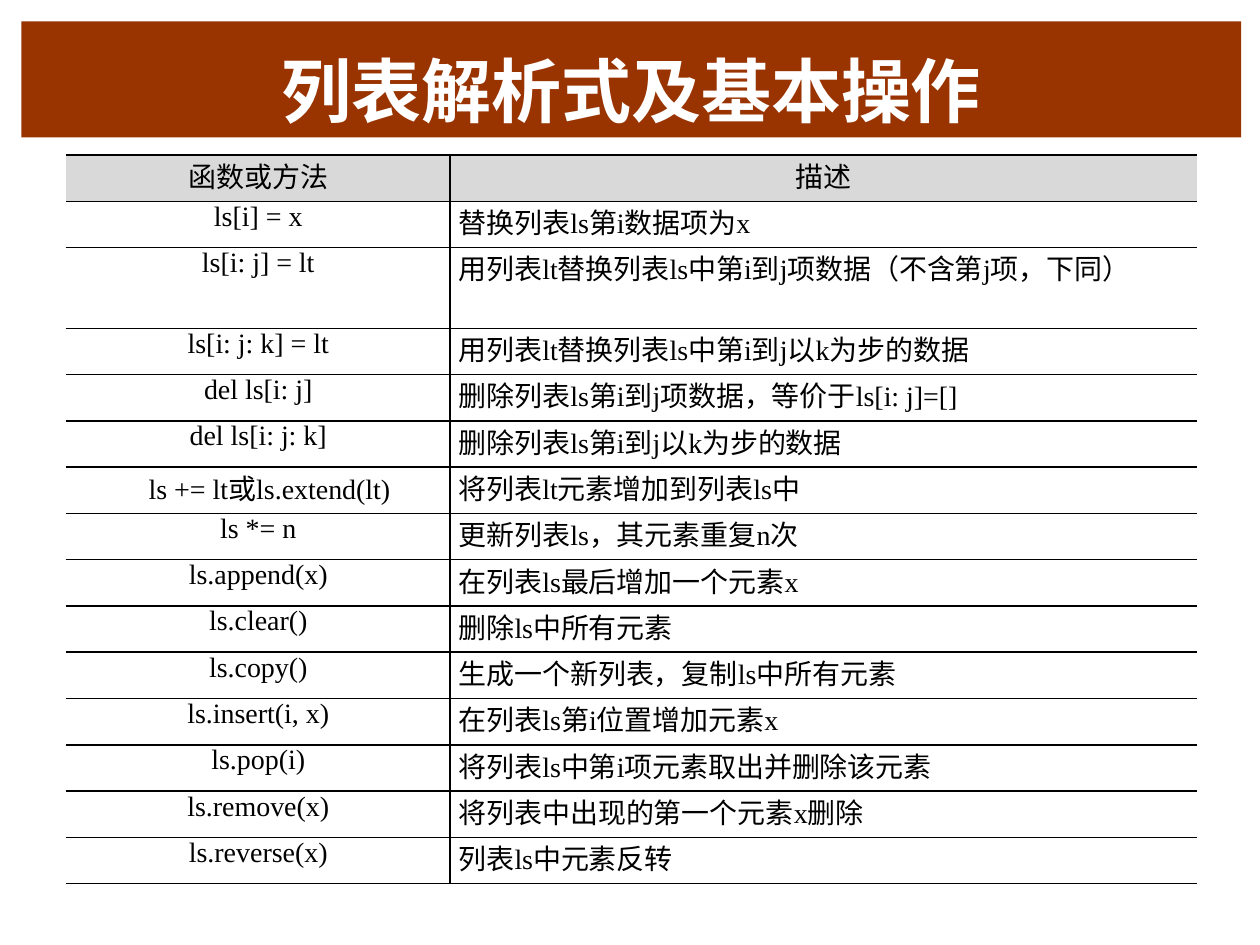
from itertools import groupby

from lxml.etree import SubElement
from pptx import Presentation
from pptx.dml.color import RGBColor
from pptx.enum.shapes import MSO_SHAPE
from pptx.enum.text import MSO_ANCHOR, PP_ALIGN
from pptx.oxml.ns import qn
from pptx.util import Inches, Pt

RUST = RGBColor(0x99, 0x33, 0x00)
WHITE = RGBColor(0xFF, 0xFF, 0xFF)
BLACK = RGBColor(0x00, 0x00, 0x00)
GREY = RGBColor(0xD9, 0xD9, 0xD9)

CHINESE_FONT = "Noto Sans CJK SC"
LATIN_FONT = "Times New Roman"
TITLE_FONT = "DejaVu Sans"

HEADER = ("函数或方法", "描述")
OPERATIONS = [
    ("ls[i] = x", "替换列表ls第i数据项为x"),
    ("ls[i: j] = lt", "用列表lt替换列表ls中第i到j项数据（不含第j项，下同）"),
    ("ls[i: j: k] = lt", "用列表lt替换列表ls中第i到j以k为步的数据"),
    ("del ls[i: j]", "删除列表ls第i到j项数据，等价于ls[i: j]=[]"),
    ("del ls[i: j: k]", "删除列表ls第i到j以k为步的数据"),
    ("ls += lt或ls.extend(lt)", "将列表lt元素增加到列表ls中"),
    ("ls *= n", "更新列表ls，其元素重复n次"),
    ("ls.append(x)", "在列表ls最后增加一个元素x"),
    ("ls.clear()", "删除ls中所有元素"),
    ("ls.copy()", "生成一个新列表，复制ls中所有元素"),
    ("ls.insert(i, x)", "在列表ls第i位置增加元素x"),
    ("ls.pop(i)", "将列表ls中第i项元素取出并删除该元素"),
    ("ls.remove(x)", "将列表中出现的第一个元素x删除"),
    ("ls.reverse(x)", "列表ls中元素反转"),
]


def style_run(span, size, colour, latin, bold=False):
    span.font.size = Pt(size)
    span.font.bold = bold
    span.font.color.rgb = colour
    span.font.name = latin
    SubElement(span.font._element, qn("a:ea"), typeface=CHINESE_FONT)


def add_title(page, left, top, width, height):
    bar = page.shapes.add_shape(MSO_SHAPE.RECTANGLE, left, top, width, height)
    bar.shadow.inherit = False
    bar.fill.solid()
    bar.fill.fore_color.rgb = RUST
    bar.line.fill.background()
    frame = bar.text_frame
    frame.text = "列表解析式及基本操作"
    frame.vertical_anchor = MSO_ANCHOR.BOTTOM
    para = frame.paragraphs[0]
    para.alignment = PP_ALIGN.CENTER
    style_run(para.runs[0], 40, WHITE, TITLE_FONT, bold=True)


def set_borders(cell, drawn):
    """Draw a black line on the named sides and none on the others."""
    properties = cell._tc.get_or_add_tcPr()
    for side in "LRTB":
        line = SubElement(properties, qn(f"a:ln{side}"), w=str(Pt(1)))
        if side in drawn:
            fill = SubElement(line, qn("a:solidFill"))
            SubElement(fill, qn("a:srgbClr"), val=str(BLACK))
        else:
            SubElement(line, qn("a:noFill"))


def fill_cell(cell, text, alignment, indent):
    cell.margin_left = cell.margin_right = cell.margin_top = cell.margin_bottom = 0
    para = cell.text_frame.paragraphs[0]
    para.alignment = alignment
    properties = para._p.get_or_add_pPr()
    properties.set("marL", str(indent))
    properties.set("indent", "0")
    # Chinese and Latin stretches each take their own font
    for latin, letters in groupby(text, str.isascii):
        span = para.add_run()
        span.text = "".join(letters)
        style_run(span, 16, BLACK, LATIN_FONT if latin else CHINESE_FONT)


def add_operations(page, left, top, width, height):
    rows = [HEADER, *OPERATIONS]
    table = page.shapes.add_table(len(rows), 2, left, top, width, height).table
    table.first_row = table.horz_banding = False
    table.columns[0].width = Inches(3.05)
    table.columns[1].width = width - Inches(3.05)

    for row, texts in enumerate(rows):
        for column, text in enumerate(texts):
            cell = table.cell(row, column)
            set_borders(cell, "LTB" if column else "RTB")
            alignment, indent = PP_ALIGN.CENTER, Inches(0 if column else 0.01)
            if row and column:
                alignment, indent = PP_ALIGN.LEFT, Inches(0.07)
            elif "或ls" in text:
                alignment, indent = PP_ALIGN.LEFT, Inches(0.66)
            fill_cell(cell, text, alignment, indent)
            if row == 0:
                cell.fill.solid()
                cell.fill.fore_color.rgb = GREY
            else:
                cell.fill.background()


def main():
    deck = Presentation()
    deck.slide_width, deck.slide_height = Inches(10), Inches(7.5)
    page = deck.slides.add_slide(deck.slide_layouts[6])
    add_title(page, Inches(0.17), Inches(0.17), Inches(9.68), Inches(0.92))
    add_operations(page, Inches(0.52), Inches(1.23), Inches(8.98), Inches(5.51))
    deck.save("out.pptx")


if __name__ == "__main__":
    main()
